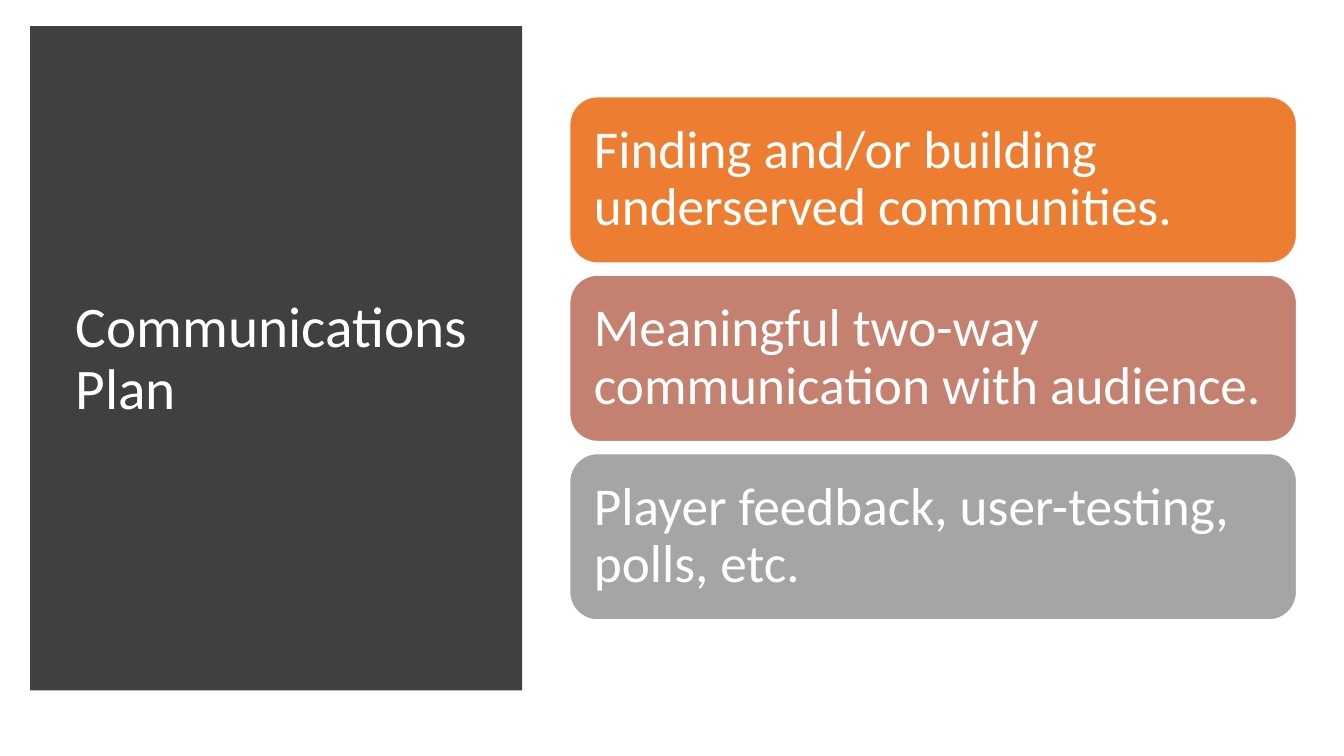
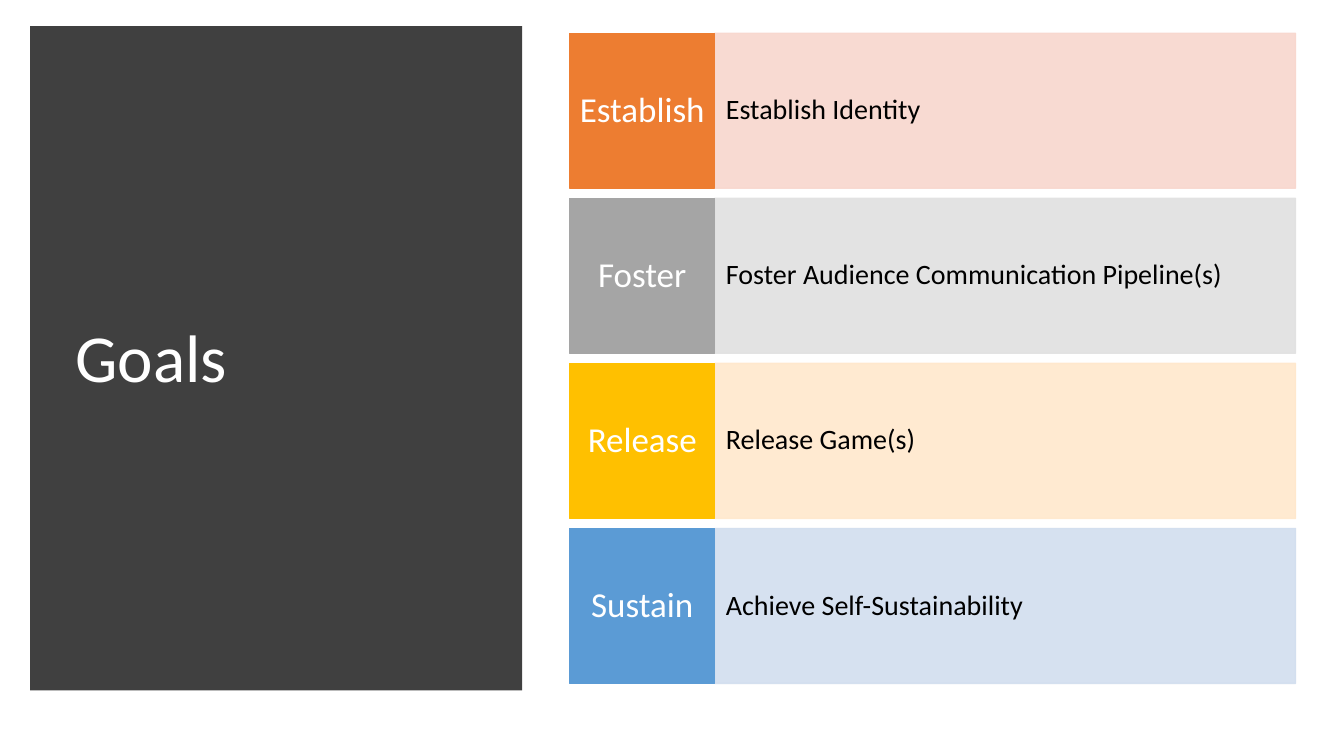
from collections import namedtuple

from lxml.etree import SubElement
from pptx import Presentation
from pptx.dml.color import RGBColor
from pptx.enum.shapes import MSO_SHAPE
from pptx.enum.text import MSO_ANCHOR, PP_ALIGN
from pptx.oxml.ns import qn
from pptx.util import Emu, Pt

# Shared style: 100 px to the inch
PX = 9144
FONT = "Calibri"
WHITE = RGBColor(0xFF, 0xFF, 0xFF)
BLACK = RGBColor(0x00, 0x00, 0x00)
CHARCOAL = RGBColor(0x40, 0x40, 0x40)
ORANGE = RGBColor(0xED, 0x7D, 0x31)
CLAY = RGBColor(0xC4, 0x81, 0x70)
GRAY = RGBColor(0xA5, 0xA5, 0xA5)
GOLD = RGBColor(0xFF, 0xC0, 0x00)
BLUE = RGBColor(0x5B, 0x9B, 0xD5)
PALE_ORANGE = RGBColor(0xF8, 0xD7, 0xCE)
PALE_GRAY = RGBColor(0xE1, 0xE1, 0xE1)
PALE_GOLD = RGBColor(0xFF, 0xE8, 0xCC)
PALE_BLUE = RGBColor(0xD2, 0xDE, 0xEF)

Box = namedtuple("Box", "left top width height")
TITLE_PANEL = Box(30, 26, 488, 659)
CARD_AREA = Box(565, 96, 721, 519)
GOAL_AREA = Box(565, 33, 720, 645)

CARDS = [
    ("Finding and/or building underserved communities.", ORANGE),
    ("Meaningful two-way communication with audience.", CLAY),
    ("Player feedback, user-testing, polls, etc.", GRAY),
]
GOALS = [
    ("Establish", "Establish Identity", ORANGE, PALE_ORANGE),
    ("Foster", "Foster Audience Communication Pipeline(s)", GRAY, PALE_GRAY),
    ("Release", "Release Game(s)", GOLD, PALE_GOLD),
    ("Sustain", "Achieve Self-Sustainability", BLUE, PALE_BLUE),
]


def px(length):
    return Emu(round(length * PX))


def stack(area, count, gap):
    """Split an area into equal rows with a fixed gap."""
    height = (area.height - gap * (count - 1)) / count
    return [Box(area.left, area.top + row * (height + gap), area.width, height)
            for row in range(count)]


def add_block(page, box, fill, line=None, kind=MSO_SHAPE.RECTANGLE, opacity=100):
    shape = page.shapes.add_shape(kind, *(px(length) for length in box))
    shape.shadow.inherit = False
    shape.fill.solid()
    shape.fill.fore_color.rgb = fill
    if line is None:
        shape.line.fill.background()
    else:
        shape.line.color.rgb = line
        shape.line.width = Pt(1)
    if opacity < 100:
        for color in shape.element.spPr.iter(qn("a:srgbClr")):
            SubElement(color, qn("a:alpha"), val=str(opacity * 1000))
    return shape


def write(shape, text, *, size, color=WHITE, align=PP_ALIGN.LEFT, margins):
    frame = shape.text_frame
    frame.word_wrap = True
    frame.vertical_anchor = MSO_ANCHOR.MIDDLE
    (frame.margin_left, frame.margin_top,
     frame.margin_right, frame.margin_bottom) = (px(margin) for margin in margins)
    para = frame.paragraphs[0]
    para.alignment = align
    para.line_spacing = 0.9
    span = para.add_run()
    span.text = text
    span.font.name = FONT
    span.font.size = Pt(size)
    span.font.color.rgb = color


def add_titled_page(deck, title, size):
    page = deck.slides.add_slide(deck.slide_layouts[6])
    panel = add_block(page, TITLE_PANEL, CHARCOAL)
    write(panel, title, size=size, margins=(45, 4, 47, 0))
    return page


def add_cards(page, area):
    """Rounded message cards, one above the other."""
    for (text, fill), box in zip(CARDS, stack(area, len(CARDS), 12)):
        card = add_block(page, box, fill, WHITE, MSO_SHAPE.ROUNDED_RECTANGLE)
        write(card, text, size=38, margins=(16, 16, 16, 16))


def add_goals(page, area):
    """Goal rows: a strong label, then a pale description."""
    for (label, text, strong, pale), row in zip(GOALS, stack(area, len(GOALS), 10)):
        label_width = row.width // 5
        description_box = row._replace(left=row.left + label_width,
                                       width=row.width - label_width)
        description = add_block(page, description_box, pale, pale, opacity=90)
        write(description, text, size=20, color=BLACK, margins=(11, 39, 11, 39))
        tag = add_block(page, row._replace(width=label_width), strong, strong)
        write(tag, label, size=25, align=PP_ALIGN.CENTER, margins=(8, 15, 8, 15))


def main():
    deck = Presentation()
    deck.slide_width, deck.slide_height = px(1333), px(750)
    add_cards(add_titled_page(deck, "Communications Plan", 41), CARD_AREA)
    add_goals(add_titled_page(deck, "Goals", 48), GOAL_AREA)
    deck.save("out.pptx")


if __name__ == "__main__":
    main()
